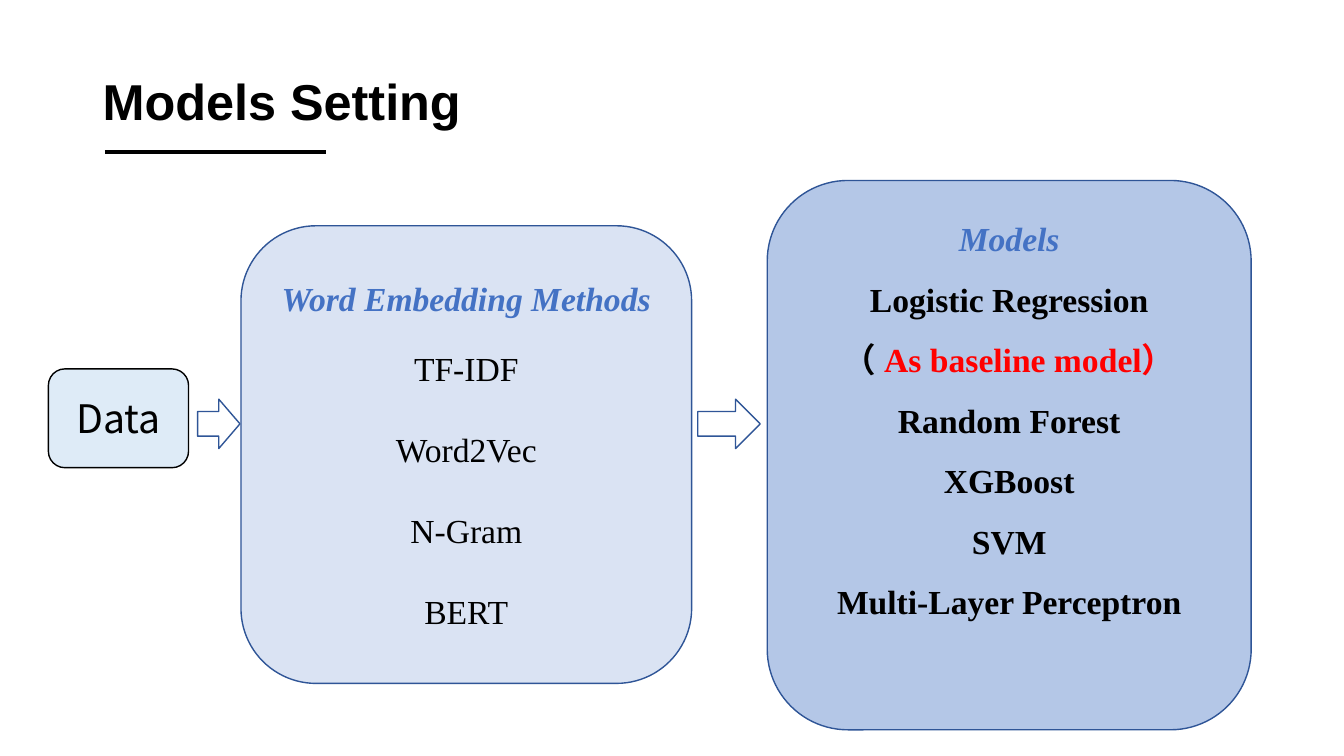
from pptx import Presentation
from pptx import util as u
from pptx.dml.color import RGBColor
from pptx.enum import shapes, text
from pptx.oxml import parse_xml
from pptx.oxml.ns import nsdecls

COLORS = {
    "ink": "000000", "accent": "4472C4", "alert": "FF0000", "edge": "2F5597",
    "data": "DEEBF7", "embedding": "DAE3F3", "models": "B4C7E7",
}
SERIF = "Times New Roman"
EMBEDDINGS = ["TF-IDF", "Word2Vec", "N-Gram", "BERT"]
MODELS = [
    [("Logistic Regression", "ink")],
    [("（ ", "ink"), ("As baseline model）", "alert")],
    [("Random Forest", "ink")],
    [("XGBoost", "ink")],
    [("SVM", "ink")],
    [("Multi-Layer Perceptron", "ink")],
]


def color(name):
    return RGBColor.from_string(COLORS[name])


def add_run(paragraph, words, size, font, ink, bold=False, italic=False):
    run = paragraph.add_run()
    run.text = words
    run.font.size = u.Pt(size)
    run.font.name = font
    run.font.bold = bold
    run.font.italic = italic
    run.font.color.rgb = color(ink)


def next_line(frame, first=False):
    paragraph = frame.paragraphs[0] if first else frame.add_paragraph()
    paragraph.alignment = text.PP_ALIGN.CENTER
    return paragraph


def add_block(slide, kind, box, fill=None, edge="edge"):
    block = slide.shapes.add_shape(kind, *map(u.Inches, box))
    block.shadow.inherit = False
    if fill:
        block.fill.solid()
        block.fill.fore_color.rgb = color(fill)
    else:
        block.fill.background()
    block.line.color.rgb = color(edge)
    block.line.width = u.Pt(1)
    frame = block.text_frame
    frame.word_wrap = True
    frame.vertical_anchor = text.MSO_ANCHOR.MIDDLE
    return frame


def add_title(slide, box):
    left, top, width, height = box
    frame = slide.shapes.add_textbox(*map(u.Inches, box)).text_frame
    frame.word_wrap = True
    frame.vertical_anchor = text.MSO_ANCHOR.MIDDLE
    heading = frame.paragraphs[0]
    heading.line_spacing = 0.9
    add_run(heading, "Models Setting", 36, "Arial", "ink", bold=True)

    start, level = left + 0.12, top + 1.11
    underline = slide.shapes.add_connector(
        shapes.MSO_CONNECTOR.STRAIGHT,
        *map(u.Inches, (start, level, start + 2.19, level)))
    underline.line.color.rgb = color("ink")
    underline.line.width = u.Pt(3)
    underline._element.spPr.append(parse_xml(f"<a:effectLst {nsdecls('a')}/>"))


def add_data(slide, box):
    frame = add_block(slide, shapes.MSO_SHAPE.ROUNDED_RECTANGLE, box, "data", "ink")
    add_run(next_line(frame, True), "Data", 28, "Noto Sans CJK SC", "ink")


def add_embeddings(slide, box):
    frame = add_block(slide, shapes.MSO_SHAPE.ROUNDED_RECTANGLE, box, "embedding")
    add_run(next_line(frame, True), "Word Embedding Methods", 24, SERIF, "accent",
            bold=True, italic=True)
    for index, method in enumerate(EMBEDDINGS):
        line = next_line(frame)
        line.space_before = u.Pt(29 if index else 21.5)
        add_run(line, method, 24, SERIF, "ink")


def add_models(slide, box):
    frame = add_block(slide, shapes.MSO_SHAPE.ROUNDED_RECTANGLE, box, "models")
    frame.margin_bottom = u.Inches(0.95)
    heading = next_line(frame, True)
    heading.line_spacing = 1.5
    add_run(heading, "Models", 24, SERIF, "accent", bold=True, italic=True)
    for model in MODELS:
        line = next_line(frame)
        line.line_spacing = 1.5
        for words, ink in model:
            add_run(line, words, 24, SERIF, ink, bold=True)


def add_arrow(slide, left, width):
    add_block(slide, shapes.MSO_SHAPE.RIGHT_ARROW, (left, 3.96, width, 0.49))


def main():
    deck = Presentation()
    deck.slide_width, deck.slide_height = u.Inches(13.33), u.Inches(7.5)
    slide = deck.slides.add_slide(deck.slide_layouts[6])
    add_data(slide, (0.48, 3.66, 1.39, 0.98))
    add_embeddings(slide, (2.39, 2.24, 4.47, 4.54))
    add_models(slide, (7.61, 1.79, 4.8, 5.45))
    add_arrow(slide, 1.96, 0.42)
    add_arrow(slide, 6.92, 0.62)
    add_title(slide, (0.92, 0.4, 11.5, 1.26))
    deck.save("out.pptx")


if __name__ == "__main__":
    main()
